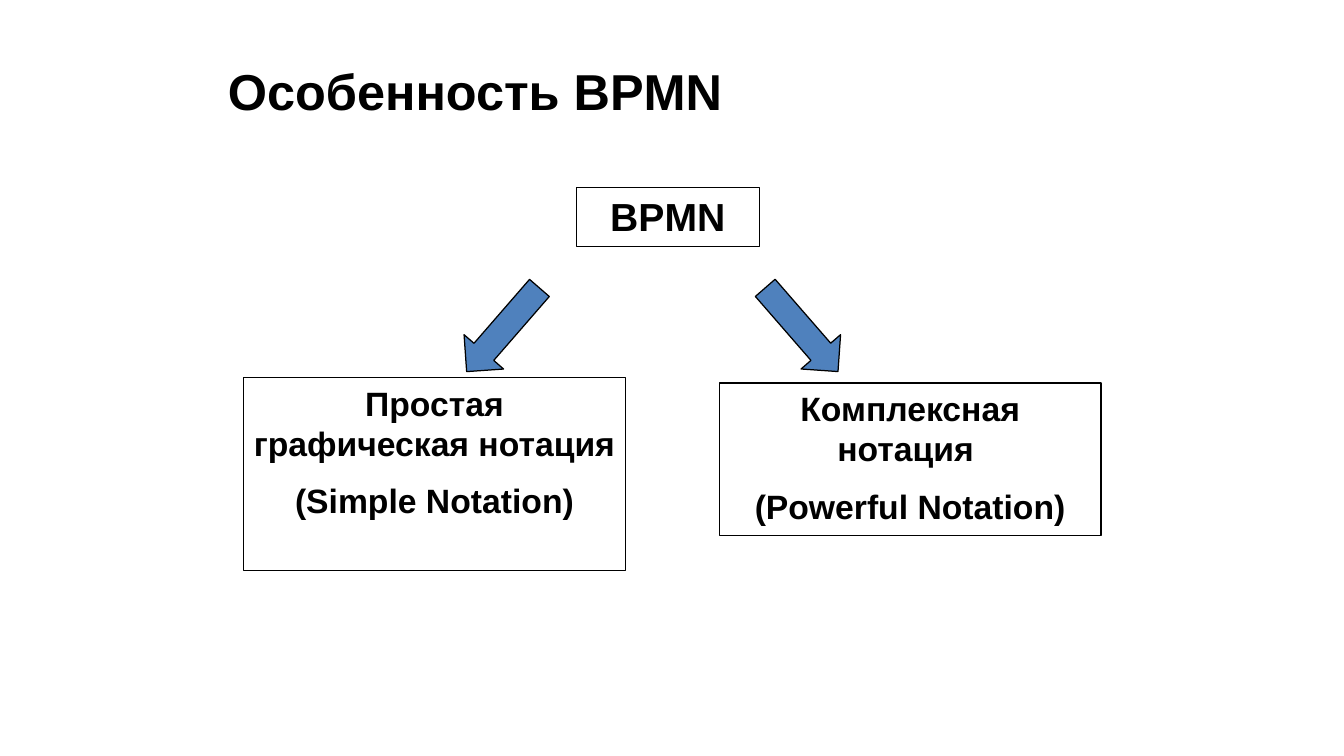
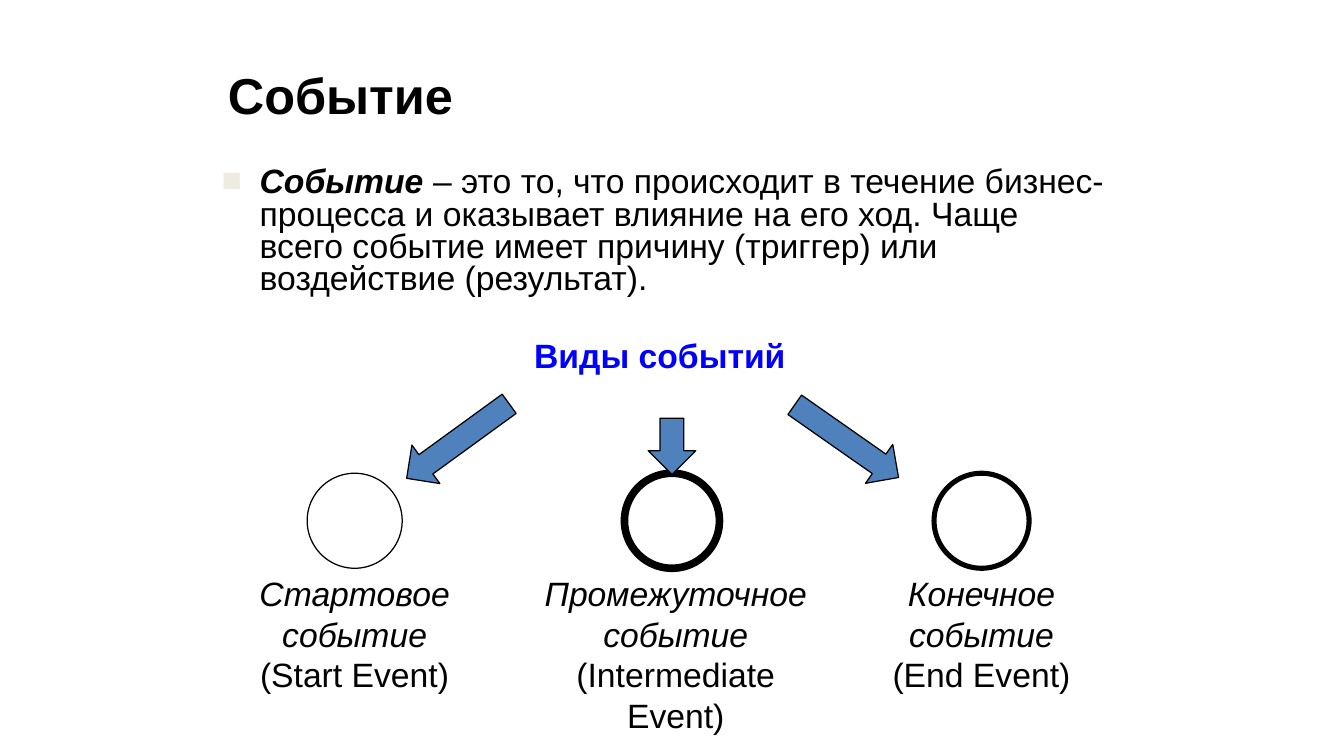
import dataclasses

import lxml.etree
import pptx
import pptx.dml.color
import pptx.enum.shapes
import pptx.enum.text
import pptx.oxml.ns
import pptx.util

Cm = pptx.util.Cm
Pt = pptx.util.Pt
Shapes = pptx.enum.shapes.MSO_SHAPE
Align = pptx.enum.text.PP_ALIGN
Anchor = pptx.enum.text.MSO_ANCHOR


@dataclasses.dataclass(frozen=True)
class Theme:
    font: str = "Arial"
    ink: str = "000000"
    paper: str = "FFFFFF"
    arrow: str = "4F81BD"
    heading: str = "0000FF"
    bullet: str = "EEECE1"
    title_size: float = 29.8
    node_size: float = 23.1
    text_size: float = 19.9
    line_width: float = 0.75


THEME = Theme()


def color(value):
    return pptx.dml.color.RGBColor.from_string(value)


# Text
def prepare_frame(shape, anchor=Anchor.TOP):
    frame = shape.text_frame
    frame.word_wrap = True
    frame.vertical_anchor = anchor
    frame.margin_left = frame.margin_right = Cm(0.2)
    frame.margin_top = frame.margin_bottom = Cm(0.1)
    return frame


def style_paragraph(paragraph, size, ink=THEME.ink, bold=False, align=Align.LEFT):
    paragraph.alignment = align
    paragraph.font.name = THEME.font
    paragraph.font.size = Pt(size)
    paragraph.font.bold = bold
    paragraph.font.color.rgb = color(ink)


def add_run(paragraph, text, bold=None, italic=None):
    run = paragraph.add_run()
    run.text = text
    run.font.bold = bold
    run.font.italic = italic


def add_text(slide, left, top, width, height, anchor=Anchor.TOP):
    box = slide.shapes.add_textbox(Cm(left), Cm(top), Cm(width), Cm(height))
    return prepare_frame(box, anchor).paragraphs[0]


def add_title(slide, text, height):
    paragraph = add_text(slide, 4.55, 1.04, 18.9, height, Anchor.MIDDLE)
    paragraph.text = text
    style_paragraph(paragraph, THEME.title_size, bold=True)


def add_bullet(paragraph, character, indent):
    properties = paragraph._p.get_or_add_pPr()
    properties.set("marL", str(Cm(indent)))
    properties.set("indent", str(-Cm(indent)))
    qn = pptx.oxml.ns.qn
    bullet_color = lxml.etree.SubElement(properties, qn("a:buClr"))
    lxml.etree.SubElement(bullet_color, qn("a:srgbClr"), val=THEME.bullet)
    lxml.etree.SubElement(properties, qn("a:buFont"), typeface=THEME.font)
    lxml.etree.SubElement(properties, qn("a:buChar"), char=character)


# Shapes
def add_outline(slide, kind, left, top, width, height, fill=None, line_width=THEME.line_width):
    shape = slide.shapes.add_shape(kind, Cm(left), Cm(top), Cm(width), Cm(height))
    shape.shadow.inherit = False
    if fill:
        shape.fill.solid()
        shape.fill.fore_color.rgb = color(fill)
    else:
        shape.fill.background()
    shape.line.color.rgb = color(THEME.ink)
    shape.line.width = Pt(line_width)
    return shape


def add_node(slide, left, top, width, height, lines, size):
    shape = add_outline(slide, Shapes.RECTANGLE, left, top, width, height)
    frame = prepare_frame(shape)
    for index, line in enumerate(lines):
        paragraph = frame.add_paragraph() if index else frame.paragraphs[0]
        paragraph.text = line
        style_paragraph(paragraph, size, bold=True, align=Align.CENTER)
        if index:
            paragraph.space_before = Pt(9.9)


def add_arrow(slide, kind, center_x, center_y, width, height, rotation=0):
    arrow = add_outline(slide, kind, center_x - width / 2, center_y - height / 2,
                        width, height, THEME.arrow)
    arrow.rotation = rotation


def add_event(slide, center_x, line_width, name, term, label_center, label_width, label_height):
    diameter, top = 1.98, 9.86
    add_outline(slide, Shapes.OVAL, center_x - diameter / 2, top, diameter, diameter,
                THEME.paper, line_width)
    label = add_text(slide, label_center - label_width / 2, top + diameter,
                     label_width, label_height)
    style_paragraph(label, THEME.text_size, align=Align.CENTER)
    add_run(label, name, italic=True)
    add_run(label, term)


# Slides
def build_notation_slide(slide):
    add_title(slide, "Особенность BPMN", 1.7)
    add_node(slide, 12.01, 3.91, 3.81, 1.22, ["BPMN"], THEME.node_size)
    add_node(slide, 14.99, 7.98, 7.95, 3.18,
             ["Комплексная нотация ", "(Powerful Notation)"], THEME.text_size)
    add_node(slide, 5.08, 7.87, 7.95, 4.01,
             ["Простая графическая нотация ", "(Simple Notation)"], THEME.text_size)
    middle, offset = 13.59, 3.11
    for side, rotation in ((1, 49), (-1, 131)):
        add_arrow(slide, Shapes.RIGHT_ARROW, middle + side * offset, 6.87, 2.31, 1.09, rotation)


def build_event_slide(slide):
    add_title(slide, "Событие", 1.85)

    # Definition
    definition = add_text(slide, 4.42, 3.4, 18.9, 3.18)
    add_bullet(definition, "■", 0.79)
    style_paragraph(definition, THEME.text_size)
    definition.line_spacing = 0.8
    add_run(definition, "Событие ", bold=True, italic=True)
    add_run(definition, "– это то, что происходит в течение бизнес-процесса и оказывает "
                        "влияние на его ход. Чаще всего событие имеет причину (триггер) "
                        "или воздействие (результат).")

    # Kinds of event
    heading = add_text(slide, 10.69, 6.88, 6.12, 1.04)
    heading.text = "Виды событий"
    style_paragraph(heading, THEME.text_size, THEME.heading, bold=True, align=Align.CENTER)
    events = (
        (7.39, 0.75, "Стартовое событие ", "(Start Event)", 7.39, 4.62, 2.72),
        (20.45, 3, "Конечное событие ", "(End Event)", 20.45, 4.62, 2.72),
        (14, 4.5, "Промежуточное событие ", "(Intermediate Event)", 14.08, 6.12, 3.56),
    )
    arrows = ((9.54, 9.19, 2.64, 54), (17.64, 9.19, 2.64, 305), (14, 9.3, 1.17, 0))
    for event, (center_x, center_y, length, rotation) in zip(events, arrows):
        add_event(slide, *event)
        add_arrow(slide, Shapes.DOWN_ARROW, center_x, center_y, 0.99, length, rotation)


def main():
    presentation = pptx.Presentation()
    presentation.slide_width = Cm(28)
    presentation.slide_height = Cm(15.75)
    blank = presentation.slide_layouts[6]
    for build in (build_notation_slide, build_event_slide):
        build(presentation.slides.add_slide(blank))
    presentation.save("out.pptx")


if __name__ == "__main__":
    main()
